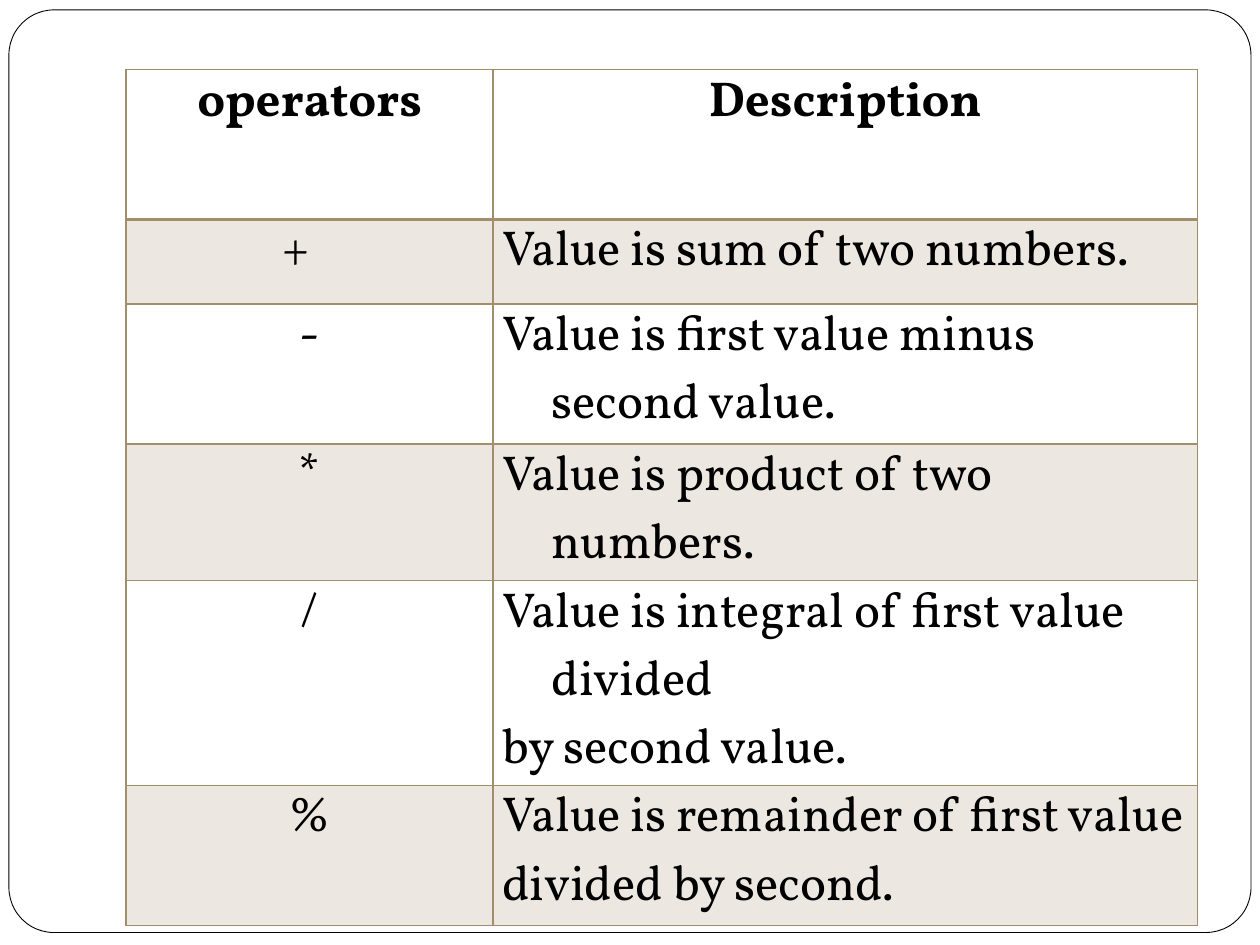
from lxml import etree
from pptx import Presentation
from pptx.dml.color import RGBColor
from pptx.enum.shapes import MSO_SHAPE
from pptx.enum.text import PP_ALIGN
from pptx.oxml.ns import qn
from pptx.util import Cm, Pt

ROUND = MSO_SHAPE.ROUNDED_RECTANGLE
LEFT, MID = PP_ALIGN.LEFT, PP_ALIGN.CENTER
FONT, TAN = "Vollkorn", "A28E6A"
HANG = 1.0
COLS = [7.4, 14.2]
ROWS = [
    (3.02, "operators", ["Description"]),
    (1.71, "+", ["Value is sum of two numbers."]),
    (2.82, "-", ["Value is first value minus second value."]),
    (1.71, "*", ["Value is product of two numbers."]),
    (2.82, "/", ["Value is integral of first value divided ",
                 "by second value."]),
    (2.82, "%", ["Value is remainder of first value ",
                 "divided by second."]),
]


def color(code):
    """Turn a hex string into a colour."""
    return RGBColor.from_string(code)


def write(frame, lines, size=28, bold=False, align=LEFT, left=HANG, first=-HANG):
    """Write lines as paragraphs with the given format."""
    for i, line in enumerate(lines):
        para = frame.add_paragraph() if i else frame.paragraphs[0]
        para.alignment = align
        props = para._p.get_or_add_pPr()
        props.set("marL", str(Cm(left)))
        props.set("indent", str(Cm(first)))
        run = para.add_run()
        run.text = line
        font = run.font
        font.name, font.size, font.bold = FONT, Pt(size), bold
        font.color.rgb = color("000000")


def tint(cell, code, alpha):
    """Fill a cell with a partly clear colour."""
    cell.fill.solid()
    cell.fill.fore_color.rgb = color(code)
    rgb = cell._tc.tcPr.find(".//" + qn("a:srgbClr"))
    etree.SubElement(rgb, qn("a:alpha")).set("val", str(alpha * 1000))


def edge(cell, code, **widths):
    """Draw cell borders; keywords L, R, T and B give points."""
    props = cell._tc.get_or_add_tcPr()
    for i, (side, width) in enumerate(widths.items()):
        line = etree.Element(qn("a:ln" + side), w=str(Pt(width)))
        fill = etree.SubElement(line, qn("a:solidFill"))
        etree.SubElement(fill, qn("a:srgbClr"), val=code)
        props.insert(i, line)


def frame(slide, x, y, w, h):
    """Draw the rounded frame around the slide."""
    box = slide.shapes.add_shape(ROUND, Cm(x), Cm(y), Cm(w), Cm(h))
    box.adjustments[0] = 0.049
    box.shadow.inherit = False
    box.fill.solid()
    box.fill.fore_color.rgb = color("FFFFFF")
    box.line.color.rgb = color("000000")
    box.line.width = Pt(0.5)


def grid(slide, x, y):
    """Build the table of operators from its top left corner."""
    high = sum(row[0] for row in ROWS)
    table = slide.shapes.add_table(len(ROWS), len(COLS), Cm(x), Cm(y),
                                   Cm(sum(COLS)), Cm(high)).table
    table.first_row = table.horz_banding = False
    for col, width in zip(table.columns, COLS):
        col.width = Cm(width)
    for r, (height, sign, text) in enumerate(ROWS):
        table.rows[r].height = Cm(height)
        for c, lines in enumerate([[sign], text]):
            cell = table.cell(r, c)
            cell.margin_left = cell.margin_right = Cm(0.18)
            cell.margin_top = cell.margin_bottom = 0
            if r % 2:
                tint(cell, TAN, 20)
            else:
                cell.fill.background()
            edge(cell, TAN, L=1, R=1, T=2 if r == 1 else 1,
                 B=1 if r else 2)
            if sign == "+" and c == 0:
                look = {"left": 2.97, "first": 0}
            else:
                look = {"align": LEFT if r and c else MID}
            write(cell.text_frame, lines, bold=r == 0, **look)


def main():
    """Make the slide and save it."""
    deck = Presentation()
    deck.slide_width, deck.slide_height = Cm(25.4), Cm(19.05)
    slide = deck.slides.add_slide(deck.slide_layouts[6])
    frame(slide, 0.18, 0.2, 25.04, 18.6)
    grid(slide, 2.54, 1.4)
    deck.save("out.pptx")


main()
